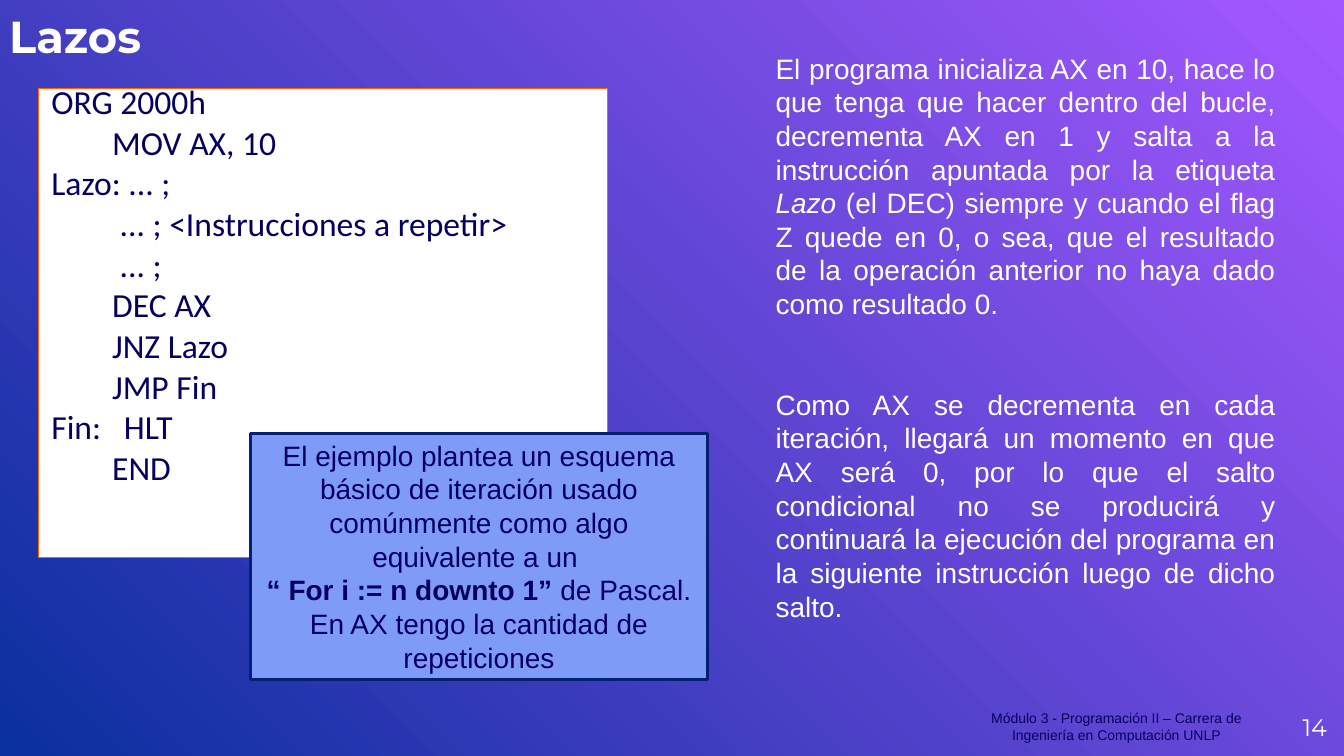
from pptx import Presentation
from pptx.dml.color import RGBColor
from pptx.enum.shapes import MSO_SHAPE
from pptx.enum.text import MSO_ANCHOR, PP_ALIGN
from pptx.util import Inches, Pt

NAVY = RGBColor(0x05, 0x00, 0x60)
WHITE = RGBColor(0xFF, 0xFF, 0xFF)
ORANGE = RGBColor(0xFF, 0x66, 0x00)
SKY = RGBColor(0x7E, 0x9C, 0xF7)
EDGE = RGBColor(0x05, 0x20, 0x73)
VIOLET = RGBColor(0xA4, 0x58, 0xFF)
BLUE = RGBColor(0x0A, 0x2F, 0x9E)

deck = Presentation()
deck.slide_width, deck.slide_height = Inches(13.34), Inches(7.5)
slide = deck.slides.add_slide(deck.slide_layouts[6])

back = slide.background.fill
back.gradient()
back.gradient_angle = 225
for stop, color, place in zip(back.gradient_stops, (VIOLET, BLUE), (0, 1)):
    stop.color.rgb = color
    stop.position = place


def add_panel(area, fill, edge, width):
    panel = slide.shapes.add_shape(MSO_SHAPE.RECTANGLE, *map(Inches, area))
    panel.shadow.inherit = False
    panel.fill.solid()
    panel.fill.fore_color.rgb = fill
    panel.line.color.rgb = edge
    panel.line.width = Pt(width)
    return panel


def write(shape, lines, frame, font, color, para):
    text = shape.text_frame
    for key, value in {"word_wrap": True, **frame}.items():
        setattr(text, key, value)
    for index, line in enumerate(lines):
        item = text.add_paragraph() if index else text.paragraphs[0]
        for key, value in para.items():
            if index or key != "space_before":
                setattr(item, key, value)
        for words, style in line:
            run = item.add_run()
            run.text = words
            for key, value in {**font, **style}.items():
                setattr(run.font, key, value)
            run.font.color.rgb = color


def_sides = ("margin_left", "margin_top", "margin_right", "margin_bottom")
flush = dict.fromkeys(def_sides, 0)
padded = dict(zip(def_sides, map(Inches, (0.1, 0.05, 0.1, 0.05))))
top = {**padded, "vertical_anchor": MSO_ANCHOR.TOP}
body = {"name": "Arial", "size": Pt(20)}

footer = slide.shapes.add_textbox(*map(Inches, (9.68, 6.99, 2.8, 0.44)))
write(footer,
      [[("Módulo 3 - Programación II – Carrera de Ingeniería en Computación UNLP", {})]],
      top, {"name": "Arial", "size": Pt(10)}, NAVY,
      {"alignment": PP_ALIGN.CENTER, "line_spacing": Pt(12)})

code = """ORG 2000h
        MOV AX, 10
Lazo: ... ;
         ... ; <Instrucciones a repetir>
         ... ;
        DEC AX
        JNZ Lazo
        JMP Fin
Fin:   HLT
        END"""
write(add_panel((0.38, 0.88, 5.65, 4.65), WHITE, ORANGE, 0.75),
      [[(line, {})] for line in code.splitlines()],
      {**flush, "margin_left": Inches(0.13), "vertical_anchor": MSO_ANCHOR.TOP},
      {"name": "Calibri", "size": Pt(24)}, NAVY,
      {"alignment": PP_ALIGN.LEFT, "line_spacing": 0.8, "space_before": Pt(6)})

number = slide.shapes.add_textbox(*map(Inches, (12.37, 6.93, 0.8, 0.57)))
write(number, [[("14", {})]], {**flush, "vertical_anchor": MSO_ANCHOR.MIDDLE},
      {"name": "Montserrat", "size": Pt(17)}, WHITE, {"alignment": PP_ALIGN.RIGHT})

title = slide.shapes.add_textbox(*map(Inches, (0.09, 0.01, 8.77, 0.61)))
write(title, [[("Lazos", {})]], {**flush, "vertical_anchor": MSO_ANCHOR.BOTTOM},
      {"name": "Montserrat", "size": Pt(32), "bold": True}, WHITE, {})

notes = [
    [("El programa inicializa AX en 10, hace lo que tenga que hacer dentro del bucle, "
      "decrementa AX en 1 y salta a la instrucción apuntada por la etiqueta ", {}),
     ("Lazo ", {"italic": True}),
     ("(el DEC) siempre y cuando el flag Z quede en 0, o sea, que el resultado "
      "de la operación anterior no haya dado como resultado 0.", {})],
    [("Como AX se decrementa en cada iteración, llegará un momento en que AX será 0, "
      "por lo que el salto condicional no se producirá y continuará la ejecución "
      "del programa en la siguiente instrucción luego de dicho salto.", {})],
]
side = slide.shapes.add_textbox(*map(Inches, (7.6, 0.46, 5.16, 5.77)))
write(side, notes, top, body, WHITE,
      {"alignment": PP_ALIGN.JUSTIFY, "line_spacing": Pt(24), "space_before": Pt(48)})

sample = [
    [("El ejemplo plantea un esquema básico de iteración usado comúnmente "
      "como algo equivalente a un ", {})],
    [("“ For i := n downto 1” ", {"bold": True}), ("de Pascal.", {})],
    [("En AX tengo la cantidad de repeticiones", {})],
]
write(add_panel((2.49, 4.3, 4.53, 2.44), SKY, EDGE, 2), sample, top, body, NAVY,
      {"alignment": PP_ALIGN.CENTER, "line_spacing": Pt(24)})

deck.save("out.pptx")
